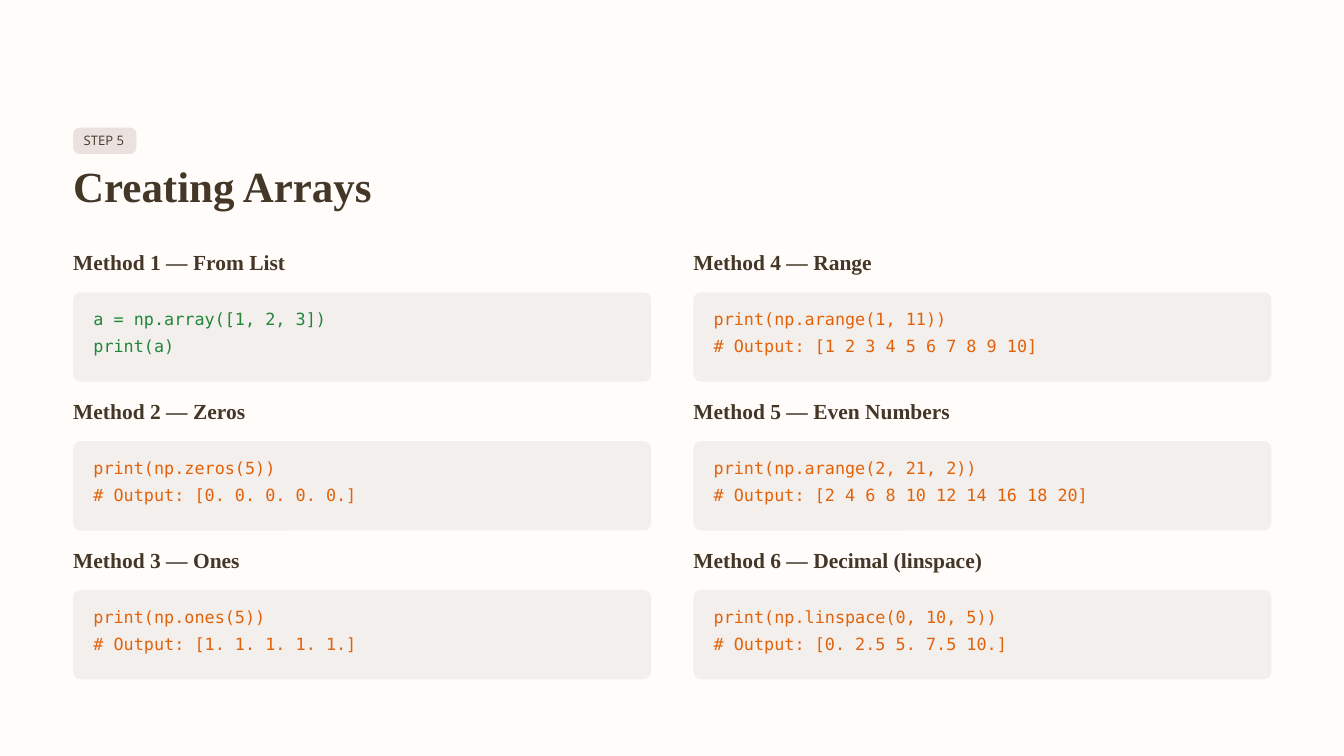
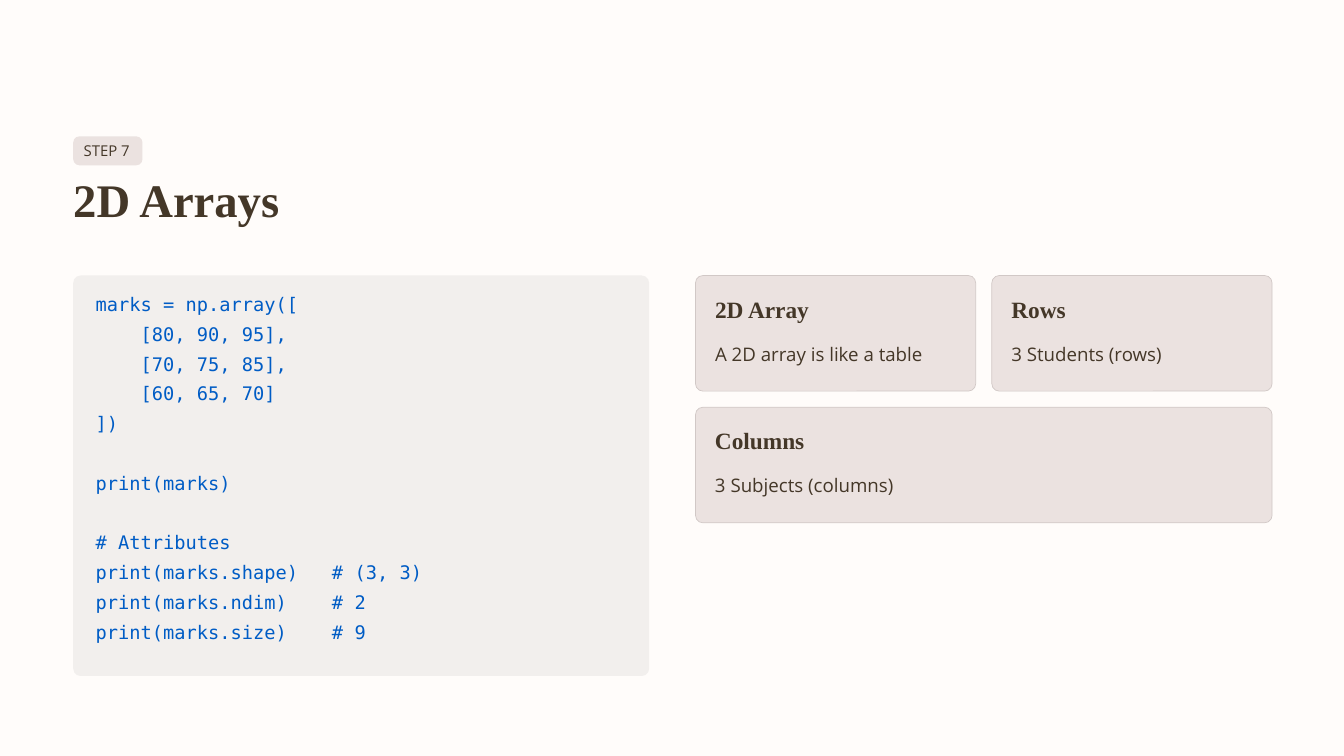
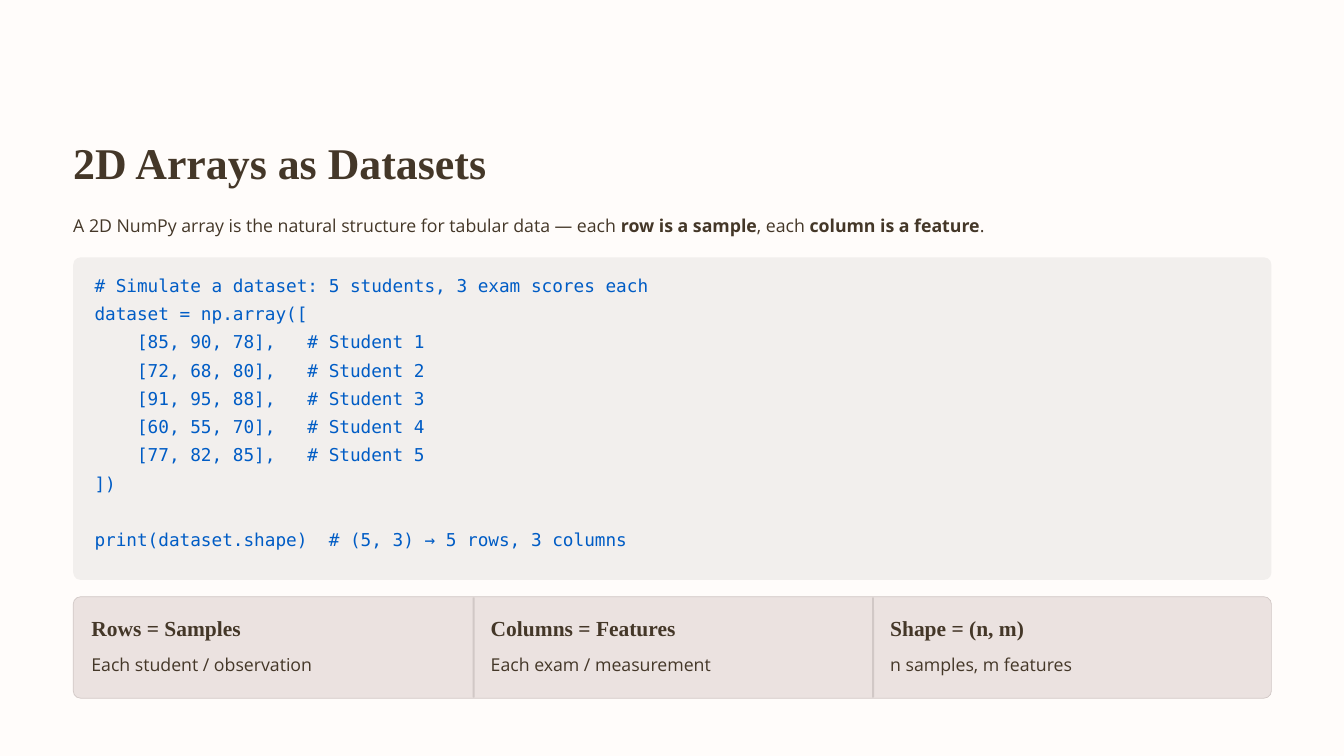
import dataclasses

import pptx
import pptx.dml.color
import pptx.enum.shapes
import pptx.enum.text
import pptx.util

Inches = pptx.util.Inches
Pt = pptx.util.Pt


@dataclasses.dataclass(frozen=True)
class TextStyle:
    font: str
    leading: float  # line spacing as a multiple of the type size
    bold: bool = False


@dataclasses.dataclass(frozen=True)
class Theme:
    background: str = "FFFCFA"
    ink: str = "443728"
    code_panel: str = "F2EFED"
    card: str = "EBE2E0"
    card_edge: str = "D1C8C6"
    code_green: str = "22863A"
    code_orange: str = "E36209"
    code_blue: str = "005CC5"
    heading: TextStyle = TextStyle("Times New Roman", 1.248, True)
    body: TextStyle = TextStyle("Open Sans", 1.51)
    badge: TextStyle = TextStyle("Open Sans", 1.15)
    code: TextStyle = TextStyle("DejaVu Sans Mono", 1.595)
    methods_sizes = {"title": 46, "heading": 23, "code": 18, "badge": 14}
    arrays_sizes = {"title": 50, "heading": 25, "code": 20, "badge": 16, "body": 20}
    dataset_sizes = {"title": 47, "heading": 23, "code": 19, "body": 19}


THEME = Theme()
MARGIN = 1.09
CONTENT_WIDTH = 17.83
RADIUS = 0.11

METHODS = [
    ("Method 1 — From List", ["a = np.array([1, 2, 3])", "print(a)"], THEME.code_green),
    ("Method 2 — Zeros", ["print(np.zeros(5))", "# Output: [0. 0. 0. 0. 0.]"], THEME.code_orange),
    ("Method 3 — Ones", ["print(np.ones(5))", "# Output: [1. 1. 1. 1. 1.]"], THEME.code_orange),
    ("Method 4 — Range", ["print(np.arange(1, 11))", "# Output: [1 2 3 4 5 6 7 8 9 10]"],
     THEME.code_orange),
    ("Method 5 — Even Numbers",
     ["print(np.arange(2, 21, 2))", "# Output: [2 4 6 8 10 12 14 16 18 20]"], THEME.code_orange),
    ("Method 6 — Decimal (linspace)",
     ["print(np.linspace(0, 10, 5))", "# Output: [0. 2.5 5. 7.5 10.]"], THEME.code_orange),
]

MARKS_CODE = """marks = np.array([
    [80, 90, 95],
    [70, 75, 85],
    [60, 65, 70]
])

print(marks)

# Attributes
print(marks.shape)   # (3, 3)
print(marks.ndim)    # 2
print(marks.size)    # 9""".split("\n")

# heading, text, grid column, grid row, columns spanned
ARRAY_CARDS = [
    ("2D Array", "A 2D array is like a table", 0, 0, 1),
    ("Rows", "3 Students (rows)", 1, 0, 1),
    ("Columns", "3 Subjects (columns)", 0, 1, 2),
]

DATASET_INTRO = [
    ("A 2D NumPy array is the natural structure for tabular data — each ", False),
    ("row is a sample", True),
    (", each ", False),
    ("column is a feature", True),
    (".", False),
]

DATASET_CODE = """# Simulate a dataset: 5 students, 3 exam scores each
dataset = np.array([
    [85, 90, 78],   # Student 1
    [72, 68, 80],   # Student 2
    [91, 95, 88],   # Student 3
    [60, 55, 70],   # Student 4
    [77, 82, 85],   # Student 5
])

print(dataset.shape)  # (5, 3) → 5 rows, 3 columns""".split("\n")

DATASET_TERMS = [
    ("Rows = Samples", "Each student / observation"),
    ("Columns = Features", "Each exam / measurement"),
    ("Shape = (n, m)", "n samples, m features"),
]


def rgb(color):
    return pptx.dml.color.RGBColor.from_string(color)


def add_slide(presentation):
    slide = presentation.slides.add_slide(presentation.slide_layouts[6])
    slide.background.fill.solid()
    slide.background.fill.fore_color.rgb = rgb(THEME.background)
    return slide


def add_panel(slide, left, top, width, height, fill, edge=None, radius=RADIUS):
    shape = slide.shapes.add_shape(
        pptx.enum.shapes.MSO_SHAPE.ROUNDED_RECTANGLE,
        Inches(left), Inches(top), Inches(width), Inches(height))
    shape.adjustments[0] = radius / min(width, height)
    shape.shadow.inherit = False
    shape.fill.solid()
    shape.fill.fore_color.rgb = rgb(fill)
    if edge:
        shape.line.color.rgb = rgb(edge)
        shape.line.width = Pt(0.75)
    else:
        shape.line.fill.background()


def add_text(slide, left, top, width, height, lines, style, size, color=THEME.ink):
    """Write lines of text; an empty line becomes space before the next one.

    A line is a string or a list of (text, bold) runs.
    """
    box = slide.shapes.add_textbox(Inches(left), Inches(top), Inches(width), Inches(height))
    frame = box.text_frame
    frame.word_wrap = True
    frame.auto_size = pptx.enum.text.MSO_AUTO_SIZE.NONE
    frame.margin_left = frame.margin_right = frame.margin_top = frame.margin_bottom = 0
    pitch = Pt(size * style.leading)
    gap_lines = 0
    paragraph = None
    for line in lines:
        if not line:
            gap_lines += 1
            continue
        paragraph = frame.add_paragraph() if paragraph else frame.paragraphs[0]
        paragraph.line_spacing = pitch
        if gap_lines:
            paragraph.space_before = pitch * gap_lines
            gap_lines = 0
        for text, bold in [(line, style.bold)] if isinstance(line, str) else line:
            run = paragraph.add_run()
            run.text = text
            run.font.name = style.font
            run.font.size = Pt(size)
            run.font.bold = bold
            run.font.color.rgb = rgb(color)


def add_title(slide, text, top, size):
    add_text(slide, MARGIN, top, CONTENT_WIDTH, 0.85, [text], THEME.heading, size)


def add_badge(slide, text, top, width, height, size):
    add_panel(slide, MARGIN, top, width, height, THEME.card, radius=0.09)
    add_text(slide, MARGIN + 0.155, top + 0.085, width, 0.25, [text], THEME.badge, size)


def add_code(slide, left, top, width, height, lines, size, color=THEME.code_blue):
    add_panel(slide, left, top, width, height, THEME.code_panel)
    padding = size / 60
    add_text(slide, left + padding, top + 0.15, width - 2 * padding, height - 0.4,
             lines, THEME.code, size, color)


def add_term(slide, left, top, width, heading, text, text_offset, sizes):
    """Write a card heading with its explanation below."""
    add_text(slide, left, top, width, 0.45, [heading], THEME.heading, sizes["heading"])
    add_text(slide, left, top + text_offset, width, 0.48, [text], THEME.body, sizes["body"])


def build_methods_slide(presentation):
    slide = add_slide(presentation)
    sizes = THEME.methods_sizes
    add_badge(slide, "STEP 5", 1.9, 0.94, 0.39, sizes["badge"])
    add_title(slide, "Creating Arrays", 2.34, sizes["title"])
    rows, width = 3, 8.6
    for index, (heading, code, color) in enumerate(METHODS):
        column, row = divmod(index, rows)
        left = MARGIN + column * (CONTENT_WIDTH - width)
        top = 3.69 + row * 2.215
        add_text(slide, left, top, width, 0.42, [heading], THEME.heading, sizes["heading"])
        add_code(slide, left, top + 0.66, width, 1.33, code, sizes["code"], color)


def build_arrays_slide(presentation):
    slide = add_slide(presentation)
    sizes = THEME.arrays_sizes
    add_badge(slide, "STEP 7", 2.03, 1.03, 0.43, sizes["badge"])
    add_title(slide, "2D Arrays", 2.51, sizes["title"])
    grid_top = 4.1
    add_code(slide, MARGIN, grid_top, 8.57, 5.96, MARKS_CODE, sizes["code"])
    card_width, card_height, gap, padding = 4.17, 1.72, 0.24, 0.29
    for heading, text, column, row, span in ARRAY_CARDS:
        left = 10.35 + column * (card_width + gap)
        top = grid_top + row * (card_height + gap)
        width = span * card_width + (span - 1) * gap
        add_panel(slide, left, top, width, card_height, THEME.card, THEME.card_edge)
        add_term(slide, left + padding, top + 0.27, width - 2 * padding,
                 heading, text, 0.64, sizes)


def build_dataset_slide(presentation):
    slide = add_slide(presentation)
    sizes = THEME.dataset_sizes
    add_title(slide, "2D Arrays as Datasets", 1.98, sizes["title"])
    add_text(slide, MARGIN, 3.11, CONTENT_WIDTH, 0.46, [DATASET_INTRO], THEME.body, sizes["body"])
    add_code(slide, MARGIN, 3.83, CONTENT_WIDTH, 4.8, DATASET_CODE, sizes["code"])
    strip_top, strip_height = 8.88, 1.51
    add_panel(slide, MARGIN, strip_top, CONTENT_WIDTH, strip_height, THEME.card, THEME.card_edge)
    column_width = CONTENT_WIDTH / len(DATASET_TERMS)
    for column, (heading, text) in enumerate(DATASET_TERMS):
        left = MARGIN + column * column_width
        if column:
            add_panel(slide, left, strip_top + 0.01, 0.03, strip_height - 0.02,
                      THEME.card_edge, radius=0.01)
        add_term(slide, left + 0.27, strip_top + 0.26, 5.4, heading, text, 0.51, sizes)


def main():
    presentation = pptx.Presentation()
    presentation.slide_width = Inches(20)
    presentation.slide_height = Inches(11.25)
    build_methods_slide(presentation)
    build_arrays_slide(presentation)
    build_dataset_slide(presentation)
    presentation.save("out.pptx")


if __name__ == "__main__":
    main()
